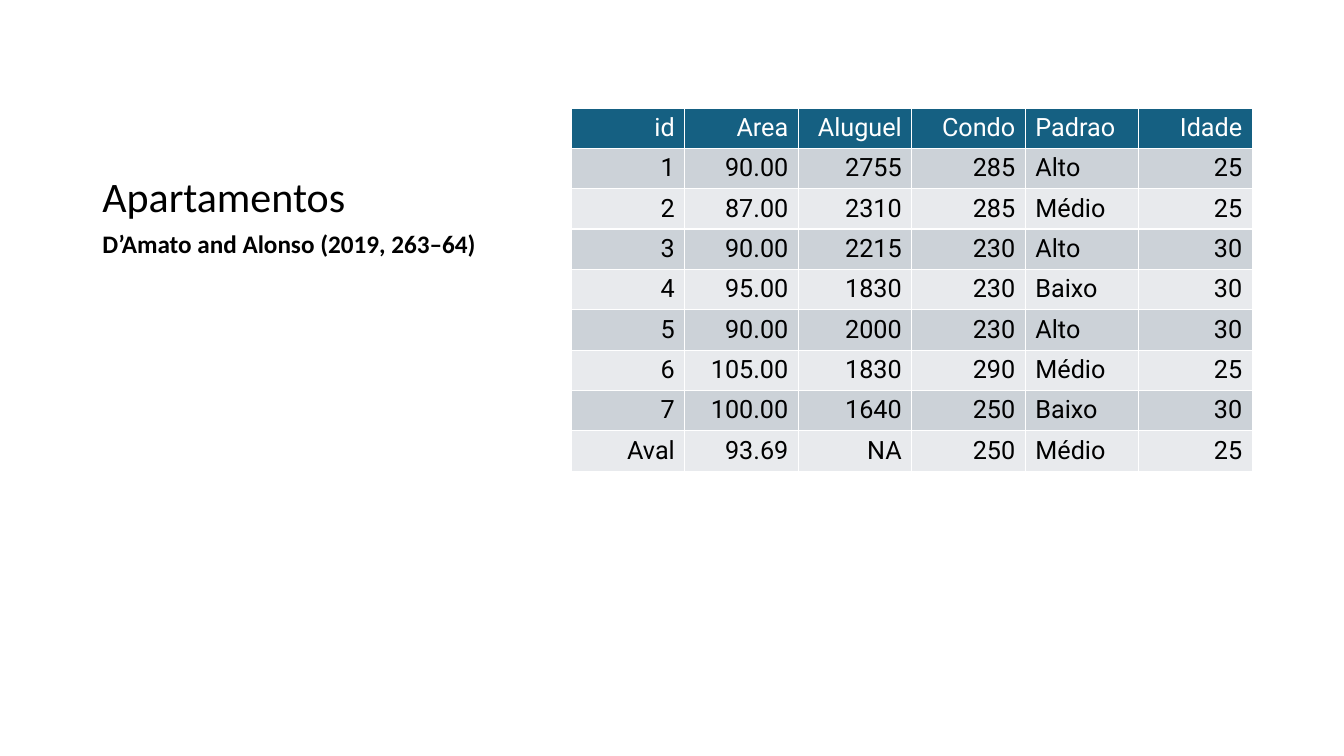
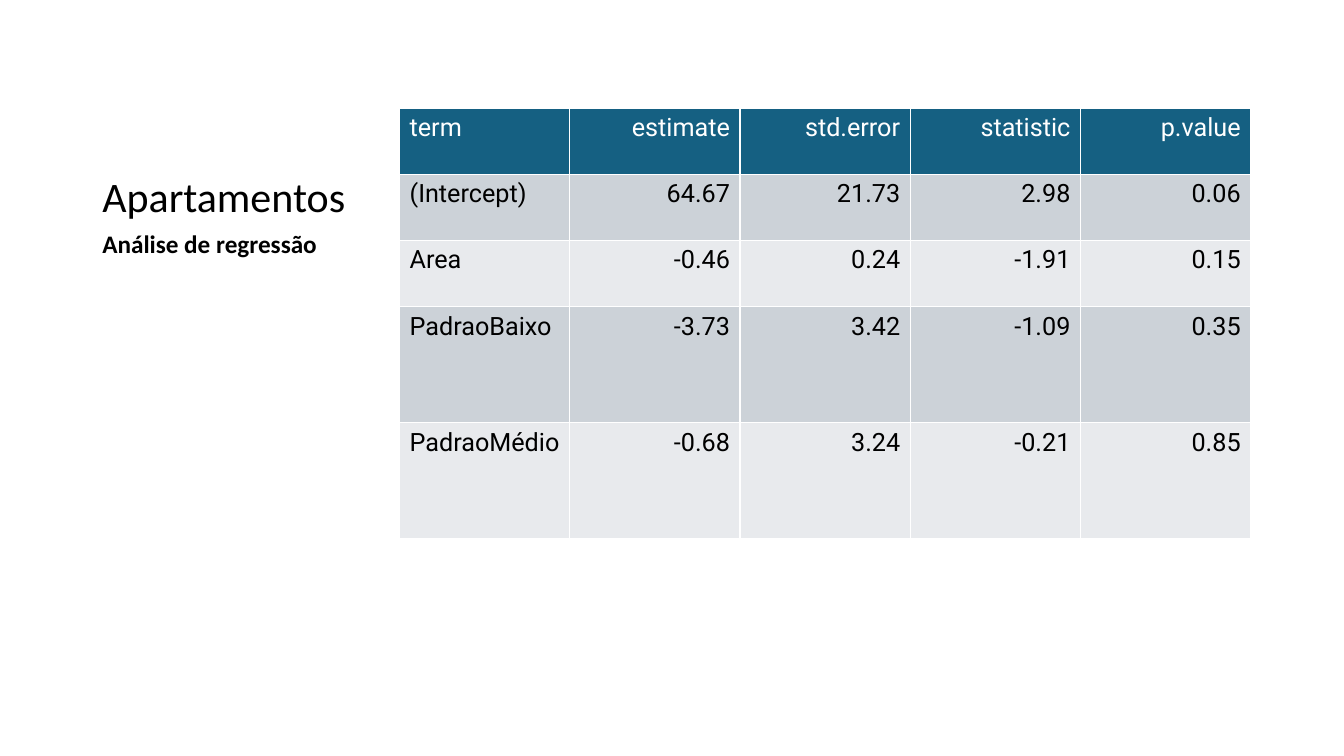
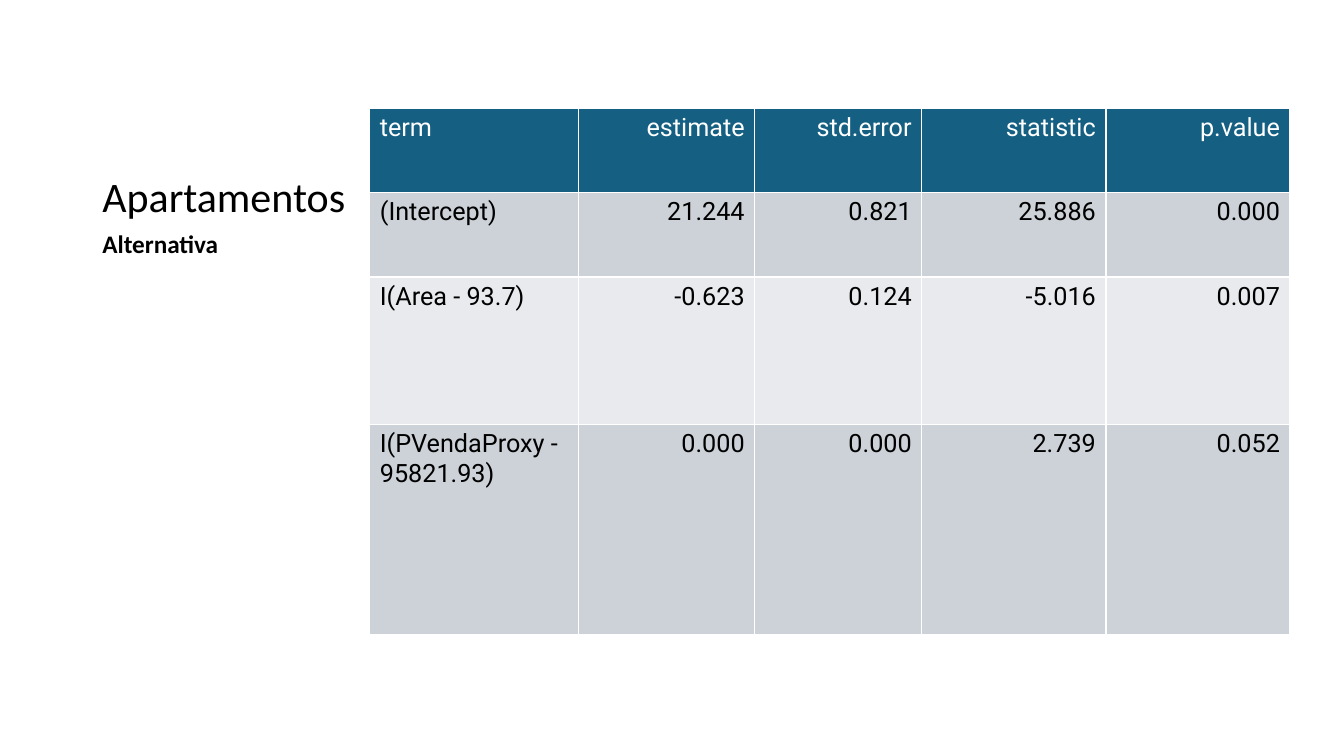
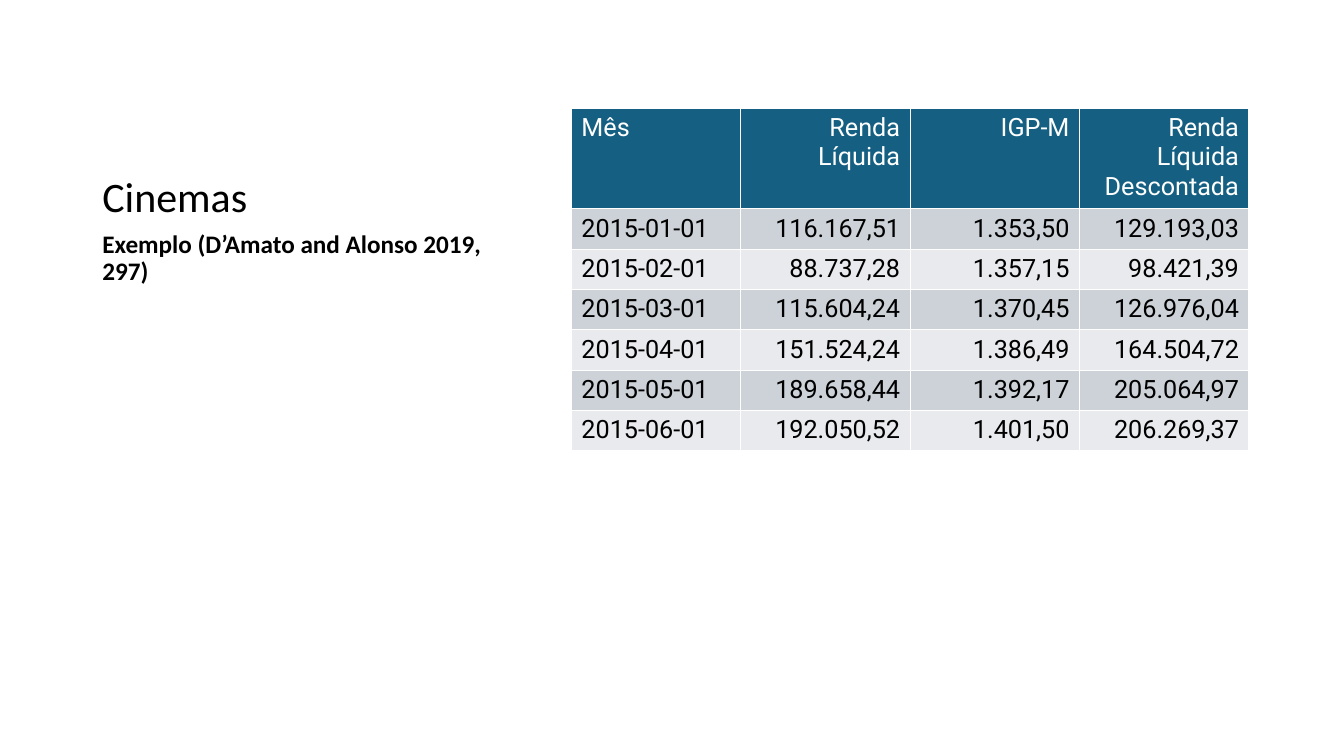
from dataclasses import dataclass

from pptx import Presentation
from pptx.dml.color import RGBColor
from pptx.enum import text as t
from pptx.util import Cm, Pt


@dataclass(frozen=True)
class Theme:
    ink: str = "000000"
    paper: str = "FFFFFF"
    header: str = "156082"
    bands: tuple = ("CCD2D8", "E8EAED")
    text_font: str = "Calibri"
    table_font: str = "Roboto"
    title_size: int = 30
    body_size: int = 18


theme = Theme()
ALIGNMENTS = {"l": t.PP_ALIGN.LEFT, "r": t.PP_ALIGN.RIGHT}


def write(frame, content, font, size, color=theme.ink, bold=False, align="l", spacing=None):
    paragraph = frame.paragraphs[0]
    paragraph.alignment = ALIGNMENTS[align]
    paragraph.line_spacing = spacing
    span = paragraph.add_run()
    span.text = content
    span.font.name = font
    span.font.size = Pt(size)
    span.font.bold = bold
    span.font.color.rgb = RGBColor.from_string(color)


def add_caption(page, content, top, height, anchor, **style):
    """Add a text box in the left column."""
    box = page.shapes.add_textbox(Cm(2.33), Cm(top), Cm(10.92), Cm(height))
    box.text_frame.word_wrap = True
    box.text_frame.vertical_anchor = anchor
    write(box.text_frame, content, theme.text_font, spacing=0.9, **style)


# Lengths are in centimetres; align holds one letter for each column.
pages = [
    {
        "title": "Apartamentos",
        "subtitle": "D’Amato and Alonso (2019, 263–64)",
        "left": 14.4,
        "widths": [2.86] * 6,
        "heights": [1] * 9,
        "align": "rrrrlr",
        "rows": [
            ["id", "Area", "Aluguel", "Condo", "Padrao", "Idade"],
            ["1", "90.00", "2755", "285", "Alto", "25"],
            ["2", "87.00", "2310", "285", "Médio", "25"],
            ["3", "90.00", "2215", "230", "Alto", "30"],
            ["4", "95.00", "1830", "230", "Baixo", "30"],
            ["5", "90.00", "2000", "230", "Alto", "30"],
            ["6", "105.00", "1830", "290", "Médio", "25"],
            ["7", "100.00", "1640", "250", "Baixo", "30"],
            ["Aval", "93.69", "NA", "250", "Médio", "25"],
        ],
    },
    {
        "title": "Apartamentos",
        "subtitle": "Análise de regressão",
        "left": 10.07,
        "widths": [4.29] * 5,
        "heights": [1.67] * 3 + [2.92] * 2,
        "align": "lrrrr",
        "rows": [
            ["term", "estimate", "std.error", "statistic", "p.value"],
            ["(Intercept)", "64.67", "21.73", "2.98", "0.06"],
            ["Area", "-0.46", "0.24", "-1.91", "0.15"],
            ["PadraoBaixo", "-3.73", "3.42", "-1.09", "0.35"],
            ["PadraoMédio", "-0.68", "3.24", "-0.21", "0.85"],
        ],
    },
    {
        "title": "Apartamentos",
        "subtitle": "Alternativa",
        "left": 9.32,
        "widths": [5.26, 4.44, 4.21, 4.64, 4.64],
        "heights": [2.13, 2.13, 3.71, 5.31],
        "align": "lrrrr",
        "rows": [
            ["term", "estimate", "std.error", "statistic", "p.value"],
            ["(Intercept)", "21.244", "0.821", "25.886", "0.000"],
            ["I(Area - 93.7)", "-0.623", "0.124", "-5.016", "0.007"],
            ["I(PVendaProxy - 95821.93)", "0.000", "0.000", "2.739", "0.052"],
        ],
    },
    {
        "title": "Cinemas",
        "subtitle": "Exemplo (D’Amato and Alonso 2019, 297)",
        "left": 14.4,
        "widths": [4.27] * 4,
        "heights": [2.5] + [1] * 6,
        "align": "lrrr",
        "rows": [
            ["Mês", "Renda Líquida", "IGP-M", "Renda Líquida Descontada"],
            ["2015-01-01", "116.167,51", "1.353,50", "129.193,03"],
            ["2015-02-01", "88.737,28", "1.357,15", "98.421,39"],
            ["2015-03-01", "115.604,24", "1.370,45", "126.976,04"],
            ["2015-04-01", "151.524,24", "1.386,49", "164.504,72"],
            ["2015-05-01", "189.658,44", "1.392,17", "205.064,97"],
            ["2015-06-01", "192.050,52", "1.401,50", "206.269,37"],
        ],
    },
]

deck = Presentation()
deck.slide_width, deck.slide_height = Cm(33.87), Cm(19.05)

for content in pages:
    page = deck.slides.add_slide(deck.slide_layouts[6])
    add_caption(page, content["title"], 2.74, 2.97, t.MSO_ANCHOR.BOTTOM, size=theme.title_size)
    add_caption(page, content["subtitle"], 5.71, 10.58, t.MSO_ANCHOR.TOP,
                size=theme.body_size, bold=True)

    widths, heights = content["widths"], content["heights"]
    table = page.shapes.add_table(
        len(heights), len(widths), Cm(content["left"]), Cm(2.72),
        Cm(sum(widths)), Cm(sum(heights))).table
    for column, width in zip(table.columns, widths):
        column.width = Cm(width)
    for row, height in zip(table.rows, heights):
        row.height = Cm(height)

    for index, values in enumerate(content["rows"]):
        is_header = index == 0
        fill = theme.header if is_header else theme.bands[(index - 1) % 2]
        color = theme.paper if is_header else theme.ink
        for cell, value, align in zip(table.rows[index].cells, values, content["align"]):
            cell.fill.solid()
            cell.fill.fore_color.rgb = RGBColor.from_string(fill)
            write(cell.text_frame, value, theme.table_font, theme.body_size,
                  color=color, align=align)

deck.save("out.pptx")
